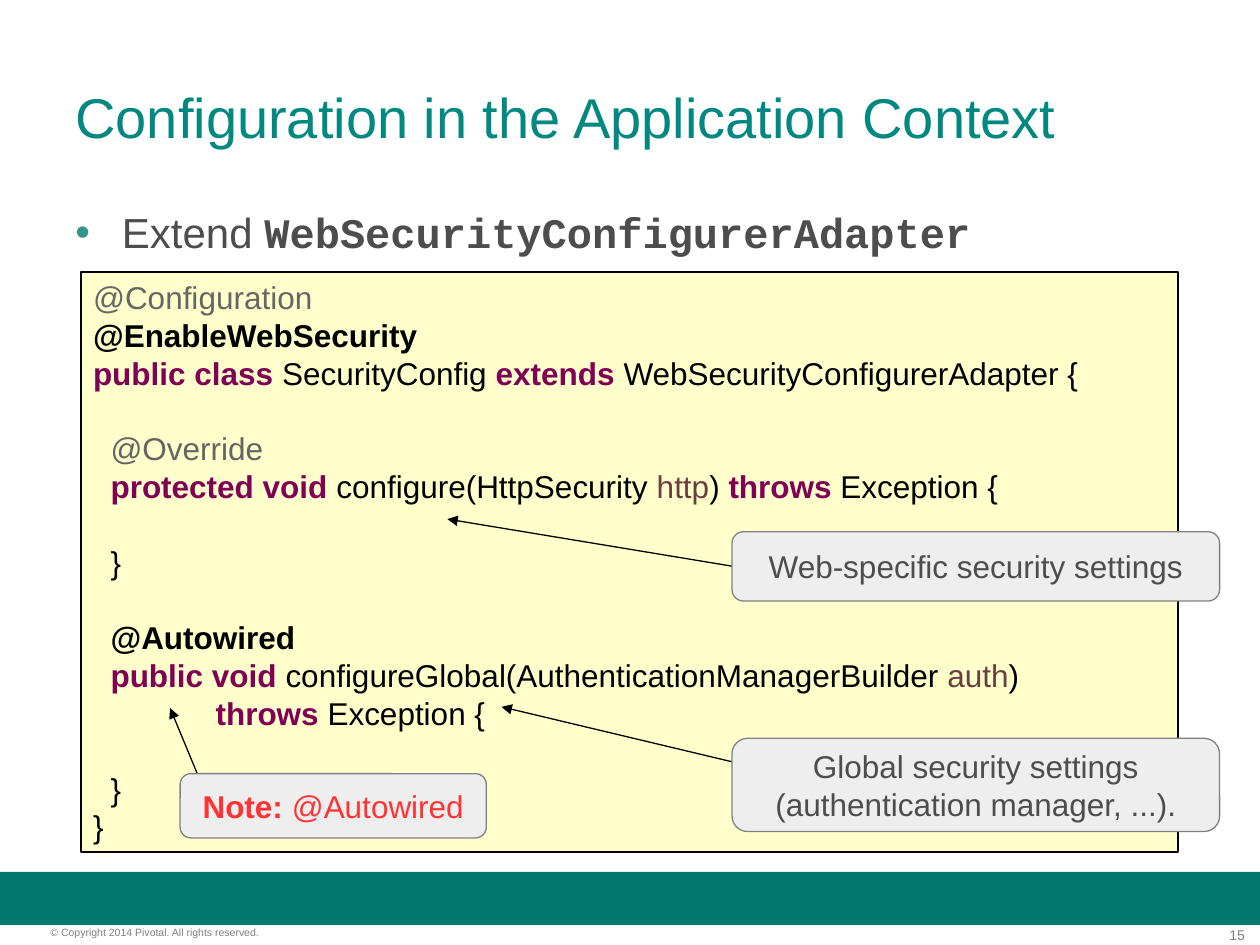
"""Build the slide on security configuration in the application context."""
import lxml.etree
import pptx
import pptx.dml.color
import pptx.enum.shapes
import pptx.enum.text
import pptx.oxml.ns
import pptx.util

Inches = pptx.util.Inches
Pt = pptx.util.Pt
qn = pptx.oxml.ns.qn
Align = pptx.enum.text.PP_ALIGN
Anchor = pptx.enum.text.MSO_ANCHOR
Form = pptx.enum.shapes.MSO_SHAPE

HUES = {
    "band": "00786E", "title": "008881", "bullet": "33928A", "body": "4D4D4D",
    "foot": "7F7F7F", "paper": "FFFFCC", "plain": "000000", "bold": "000000",
    "mark": "666666", "over": "646464", "key": "7F0055", "arg": "6A3E3E",
    "note": "EEEEEE", "edge": "808080", "red": "FF3333",
}
PITCH = 21.6

# Each code row is (blank rows above, runs of (text, hue)).
CODE = [
    (0, [("@Configuration", "mark")]),
    (0, [("@EnableWebSecurity", "bold")]),
    (0, [("public class", "key"), (" SecurityConfig ", "plain"), ("extends ", "key"),
         ("WebSecurityConfigurerAdapter {", "plain")]),
    (1, [("  @Override", "over")]),
    (0, [("  ", "bold"), ("protected void", "key"), (" configure(HttpSecurity ", "plain"),
         ("http", "arg"), (") ", "plain"), ("throws", "key"), (" Exception {", "plain")]),
    (1, [("  }", "plain")]),
    (1, [("  ", "over"), ("@Autowired", "bold")]),
    (0, [("  ", "plain"), ("public void", "key"),
         (" configureGlobal(AuthenticationManagerBuilder ", "plain"),
         ("auth", "arg"), (")", "plain")]),
    (0, [("              ", "bold"), ("throws", "key"), (" Exception {", "plain")]),
    (1, [("  }", "plain")]),
    (0, [("}", "plain")]),
]


def tint(name):
    return pptx.dml.color.RGBColor.from_string(HUES[name])


def write(para, text, size=18, hue="body", bold=False, face="Arial"):
    run = para.add_run()
    run.text = text
    font = run.font
    font.size, font.bold, font.name = Pt(size), bold, face
    font.color.rgb = tint(hue)


def frame(shape, wrap=True, anchor=Anchor.TOP, pad=(0.1, 0.05)):
    body = shape.text_frame
    body.word_wrap, body.vertical_anchor = wrap, anchor
    body.margin_left = body.margin_right = Inches(pad[0])
    body.margin_top = body.margin_bottom = Inches(pad[1])
    return body


def label(slide, box, align=Align.LEFT, **setup):
    shape = slide.shapes.add_textbox(*map(Inches, box))
    para = frame(shape, **setup).paragraphs[0]
    para.alignment = align
    return para


def block(slide, form, box, fill, edge=None, width=0):
    shape = slide.shapes.add_shape(form, *map(Inches, box))
    shape.shadow.inherit = False
    shape.fill.solid()
    shape.fill.fore_color.rgb = tint(fill)
    if edge:
        shape.line.color.rgb = tint(edge)
        shape.line.width = Pt(width)
    else:
        shape.line.fill.background()
    return shape


def fill_rows(body, rows, align):
    for place, (gap, runs) in enumerate(rows):
        para = body.add_paragraph() if place else body.paragraphs[0]
        para.alignment = align
        para.line_spacing = Pt(PITCH)
        if gap:
            para.space_before = Pt(gap * PITCH)
        for text, hue in runs:
            write(para, text, hue=hue, bold=hue in ("bold", "key") or text == "Note:")


def callout(slide, box, rows):
    shape = block(slide, Form.ROUNDED_RECTANGLE, box, "note", "edge")
    fill_rows(frame(shape, False, Anchor.MIDDLE), rows, Align.CENTER)


def arrow(slide, start, end):
    kind = pptx.enum.shapes.MSO_CONNECTOR.STRAIGHT
    line = slide.shapes.add_connector(kind, *map(Inches, start + end))
    line.line.color.rgb = tint("plain")
    line.line.width = Pt(0.75)
    stroke = line.line._get_or_add_ln()
    lxml.etree.SubElement(stroke, qn("a:tailEnd"), type="triangle")
    lxml.etree.SubElement(line._element.spPr, qn("a:effectLst"))


def bullet(para, indent):
    props = para._p.get_or_add_pPr()
    props.set("marL", str(Inches(indent)))
    props.set("indent", str(-Inches(indent)))
    shade = lxml.etree.SubElement(props, qn("a:buClr"))
    lxml.etree.SubElement(shade, qn("a:srgbClr"), val=HUES["bullet"])
    lxml.etree.SubElement(props, qn("a:buFont"), typeface="Arial")
    lxml.etree.SubElement(props, qn("a:buChar"), char="•")


def main():
    deck = pptx.Presentation()
    deck.slide_width, deck.slide_height = Inches(10), Inches(7.5)
    slide = deck.slides.add_slide(deck.slide_layouts[6])

    block(slide, Form.RECTANGLE, (0, 6.92, 10, 0.42), "band")
    page = label(slide, (9.3, 7.35, 0.58, 0.13), Align.RIGHT, pad=(0, 0))
    write(page, "15", size=8, hue="foot")
    rights = label(slide, (0.4, 7.35, 2.49, 0.1), pad=(0, 0))
    write(rights, "© Copyright 2014 Pivotal. All rights reserved.", size=6, hue="foot")

    title = label(slide, (0.5, 0.3, 9, 1.25), anchor=Anchor.MIDDLE)
    write(title, "Configuration in the Application Context", size=32, hue="title")
    point = label(slide, (0.5, 1.59, 9, 0.5))
    bullet(point, 0.37)
    write(point, "Extend ", size=24)
    write(point, "WebSecurityConfigurerAdapter", size=24, bold=True, face="Courier New")

    paper = block(slide, Form.RECTANGLE, (0.64, 2.16, 8.71, 4.6), "paper", "plain", 1)
    fill_rows(frame(paper), CODE, Align.LEFT)

    arrow(slide, (5.91, 4.51), (3.55, 4.12))
    arrow(slide, (5.91, 6.07), (3.98, 5.61))
    arrow(slide, (1.69, 6.44), (1.35, 5.62))
    callout(slide, (5.81, 4.22, 3.87, 0.55),
            [(0, [("Web-specific security settings", "body")])])
    callout(slide, (5.81, 5.86, 3.87, 0.74),
            [(0, [("Global security settings", "body")]),
             (0, [("(authentication manager, ...).", "body")])])
    callout(slide, (1.43, 6.14, 2.43, 0.51),
            [(0, [("Note:", "red"), (" @Autowired", "red")])])

    deck.save("out.pptx")


if __name__ == "__main__":
    main()
